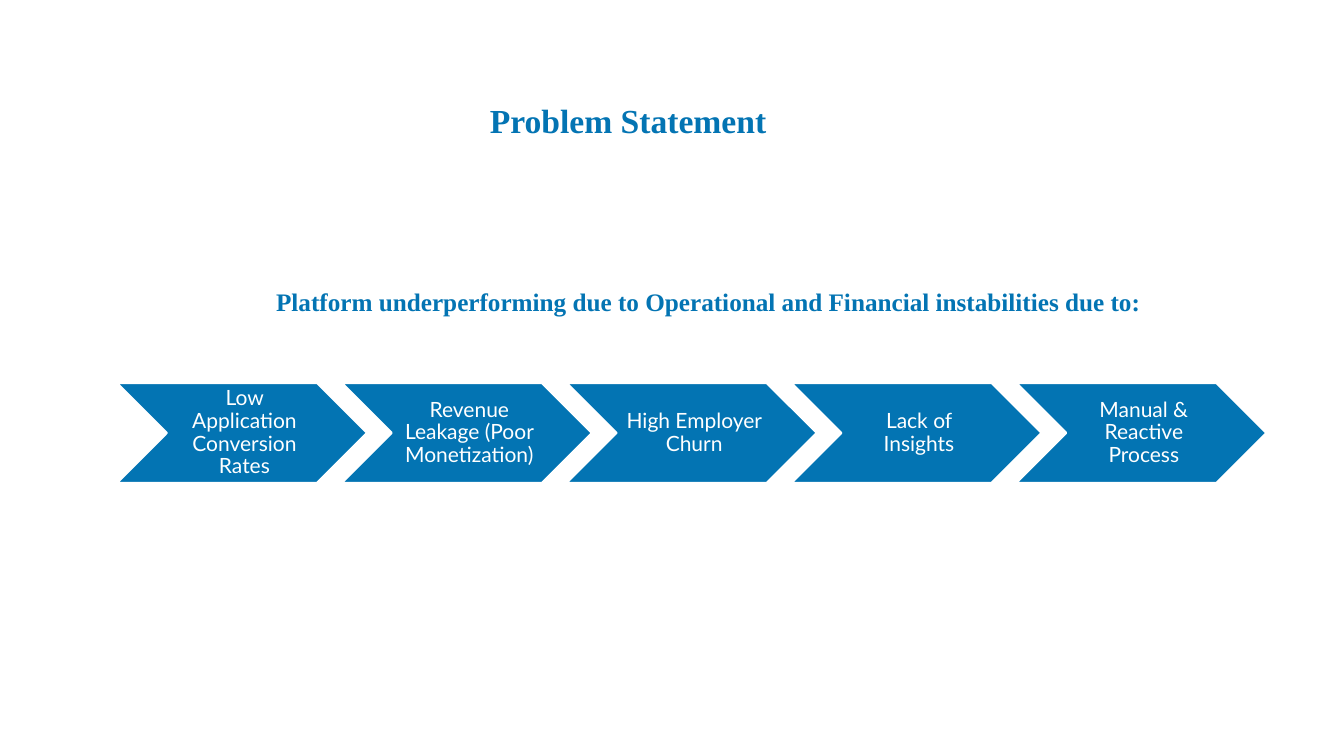
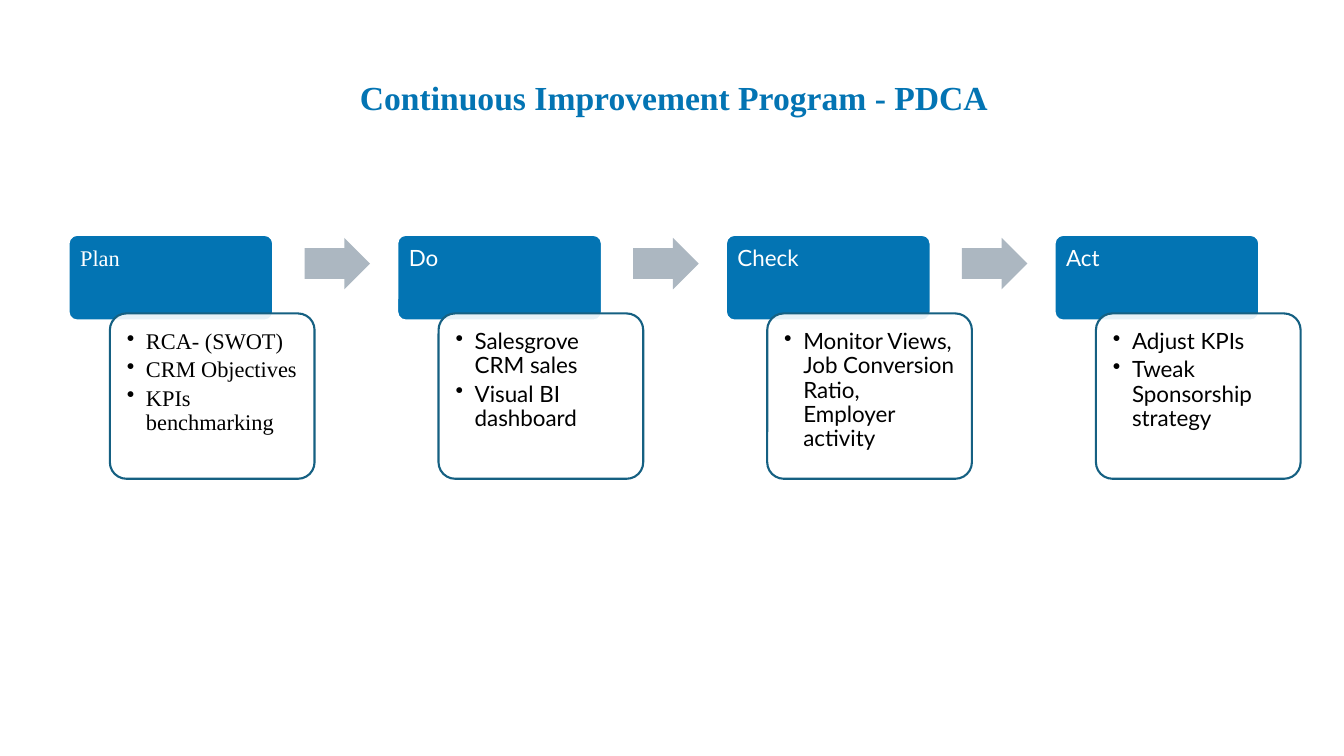
from lxml import etree
from pptx import Presentation
from pptx.dml.color import RGBColor
from pptx.enum.shapes import MSO_SHAPE as Kind
from pptx.enum.text import MSO_ANCHOR as Anchor, PP_ALIGN as Align
from pptx.oxml.ns import qn
from pptx.util import Inches, Pt

BLUE = RGBColor(0x03, 0x74, 0xB3)
TEAL = RGBColor(0x15, 0x60, 0x82)
GREY = RGBColor(0xAC, 0xB7, 0xC1)
WHITE = RGBColor(0xFF, 0xFF, 0xFF)
BLACK = RGBColor(0, 0, 0)
SERIF, SANS = "Times New Roman", "Lato"

CAUSES = [
    "Low Application Conversion Rates",
    "Revenue Leakage (Poor Monetization)",
    "High Employer Churn",
    "Lack of Insights",
    "Manual & Reactive Process",
]
STAGES = [
    ("Plan", ["RCA- (SWOT)", "CRM Objectives", "KPIs benchmarking"], SERIF),
    ("Do", ["Salesgrove CRM sales", "Visual BI dashboard"], SANS),
    ("Check", ["Monitor Views, Job Conversion Ratio, Employer activity"], SANS),
    ("Act", ["Adjust KPIs", "Tweak Sponsorship strategy"], SANS),
]


def style(par, size, face, color, bold=False):
    for run in par.runs:
        font = run.font
        font.size, font.name, font.bold = Pt(size), face, bold
        font.color.rgb = color


def heading(slide, text, left, top, width, height, size=24):
    box = slide.shapes.add_textbox(
        Inches(left), Inches(top), Inches(width), Inches(height))
    frame = box.text_frame
    frame.word_wrap = False
    frame.text = text
    style(frame.paragraphs[0], size, SERIF, BLUE, True)


def block(slide, kind, left, top, width, height, fill, line=None, adj=()):
    """Add a flat preset shape; without a line colour it has no outline."""
    shape = slide.shapes.add_shape(
        kind, Inches(left), Inches(top), Inches(width), Inches(height))
    shape.shadow.inherit = False
    for i, value in enumerate(adj):
        shape.adjustments[i] = value
    shape.fill.solid()
    shape.fill.fore_color.rgb = fill
    if line is None:
        shape.line.fill.background()
    else:
        shape.line.color.rgb = line
        shape.line.width = Pt(1.5)
    return shape


def write(shape, lines, size, face, color, insets, anchor=Anchor.TOP,
          align=Align.LEFT, bullet=False):
    frame = shape.text_frame
    frame.word_wrap = True
    frame.vertical_anchor = anchor
    (frame.margin_left, frame.margin_top,
     frame.margin_right, frame.margin_bottom) = map(Inches, insets)
    frame.text = "\n".join(lines)
    for par in frame.paragraphs:
        par.alignment = align
        par.line_spacing = 0.9
        if bullet:
            par.space_after = Pt(2.9)
            dot(par)
        style(par, size, face, color)


def dot(par):
    props = par._p.get_or_add_pPr()
    props.set("marL", str(Inches(0.19)))
    props.set("indent", str(-Inches(0.19)))
    etree.SubElement(props, qn("a:buChar")).set("char", "•")


def fade(shape, percent):
    """Set the opacity of a solid fill."""
    color = shape._element.spPr.find(qn("a:solidFill"))[0]
    etree.SubElement(color, qn("a:alpha")).set("val", str(percent * 1000))


def chain(slide, left, top, step=2.23, width=2.48, height=0.99):
    for i, cause in enumerate(CAUSES):
        link = block(slide, Kind.CHEVRON, left + i * step, top, width, height,
                     BLUE, WHITE)
        write(link, [cause], 15, SANS, WHITE, (0.07, 0.02, 0.02, 0.02),
              Anchor.MIDDLE, Align.CENTER)


def stage(slide, left, top, name, items, face):
    """Draw a header with its detail card overlapping below."""
    head = block(slide, Kind.ROUNDED_RECTANGLE, left, top, 2.03, 0.85,
                 BLUE, WHITE, (0.1,))
    write(head, [name], 16, face, WHITE, (0.09, 0.1, 0.09, 0.07))
    card = block(slide, Kind.ROUNDED_RECTANGLE, left + 0.41, top + 0.78,
                 2.03, 1.64, WHITE, TEAL, (0.1,))
    fade(card, 90)
    write(card, items, 16, face, BLACK, (0.12,) * 4, bullet=True)


def cycle(slide, left, top, step=3.26):
    for i, (name, items, face) in enumerate(STAGES):
        x = left + i * step
        stage(slide, x, top, name, items, face)
        if i < len(STAGES) - 1:
            block(slide, Kind.RIGHT_ARROW, x + 2.34, top + 0.03, 0.65, 0.51,
                  GREY, adj=(0.6, 0.5))


def problem(slide):
    heading(slide, "Problem Statement", 4.76, 0.94, 2.97, 0.5)
    heading(slide, "Platform underperforming due to Operational and "
            "Financial instabilities due to:", 2.64, 2.79, 8.78, 0.4, 18)
    chain(slide, 1.16, 3.8)


def program(slide):
    heading(slide, "Continuous Improvement Program - PDCA",
            3.47, 0.71, 6.49, 0.5)
    cycle(slide, 0.68, 2.33)


def main():
    deck = Presentation()
    deck.slide_width, deck.slide_height = Inches(13.33), Inches(7.5)
    for build in (problem, program):
        build(deck.slides.add_slide(deck.slide_layouts[6]))
    deck.save("out.pptx")


if __name__ == "__main__":
    main()
